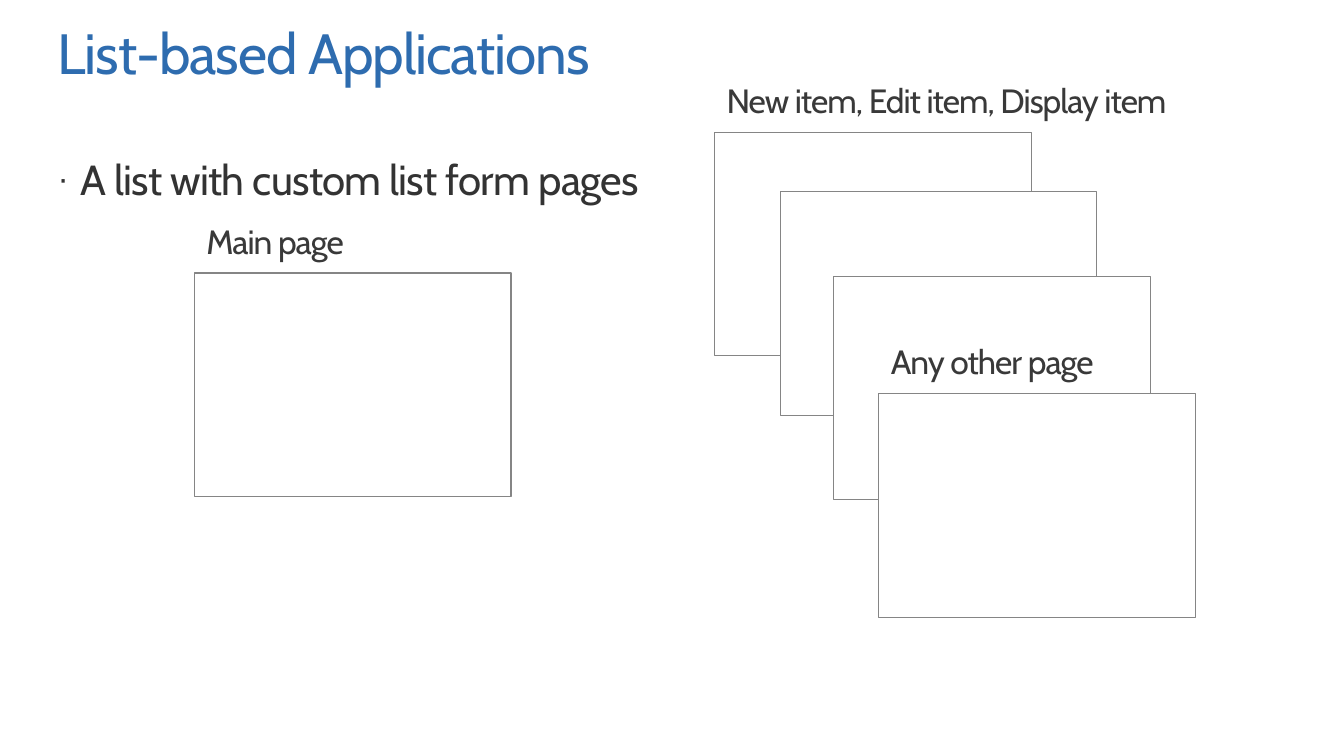
from pptx import Presentation
from pptx.dml.color import RGBColor
from pptx.enum.shapes import MSO_SHAPE
from pptx.enum.text import MSO_ANCHOR, MSO_AUTO_SIZE, PP_ALIGN
from pptx.oxml.ns import qn
from pptx.util import Cm, Pt
from lxml import etree

TITLE = "List-based Applications"
POINT = "A list with custom list form pages"
# left, top, label, label width (cm), from back to front
PAGES = [
    (4.9, 6.88, "Main page", 4.62),
    (18.01, 3.33, "New item, Edit item, Display item", 14.45),
    (19.66, 4.83, None, 0),
    (21.01, 6.96, None, 0),
    (22.15, 9.91, "Any other page", 7.01),
]
PAGE_W, PAGE_H = 7.98, 5.64
LABEL_IN, LABEL_UP, LABEL_H = 0.3, 1.31, 1.02

FONT = "Cabin"
BLUE = RGBColor(0x2E, 0x6C, 0xAF)
DARK = RGBColor(0x33, 0x33, 0x33)
GRAY = RGBColor(0x39, 0x39, 0x39)
EDGE = RGBColor(0x85, 0x85, 0x85)
WHITE = RGBColor(0xFF, 0xFF, 0xFF)
RECT = MSO_SHAPE.RECTANGLE
TOP = MSO_ANCHOR.TOP
LEFT = PP_ALIGN.LEFT
FIXED, GROW = MSO_AUTO_SIZE.NONE, MSO_AUTO_SIZE.SHAPE_TO_FIT_TEXT


def place(shape, *box):
    shape.left, shape.top, shape.width, shape.height = map(Cm, box)


def write(shape, text, size, color, track, line=1.0, bullet=None, fit=FIXED):
    """Fill a shape with one line; track is letter spacing in points."""
    frame = shape.text_frame
    frame.margin_left = frame.margin_right = 0
    frame.margin_top = frame.margin_bottom = 0
    frame.word_wrap = True
    frame.auto_size = fit
    frame.vertical_anchor = TOP
    para = frame.paragraphs[0]
    para.alignment = LEFT
    para.line_spacing = line
    para.space_before = Pt(0)
    if bullet:
        props = para._p.get_or_add_pPr()
        props.set("marL", str(Cm(0.58)))
        props.set("indent", str(-Cm(0.58)))
        etree.SubElement(props, qn("a:buSzPct")).set("val", "80000")
        etree.SubElement(props, qn("a:buChar")).set("char", bullet)
    run = para.add_run()
    run.text = text
    run.font.name = FONT
    run.font.size = Pt(size)
    run.font.color.rgb = color
    run._r.get_or_add_rPr().set("spc", str(round(track * 100)))


def add_page(shapes, left, top, label, width):
    page = shapes.add_shape(RECT, Cm(left), Cm(top), Cm(PAGE_W), Cm(PAGE_H))
    page.shadow.inherit = False
    page.fill.solid()
    page.fill.fore_color.rgb = WHITE
    page.line.color.rgb = EDGE
    page.line.width = Pt(0.75)
    if label:
        box = shapes.add_textbox(Cm(left + LABEL_IN), Cm(top - LABEL_UP),
                                 Cm(width), Cm(LABEL_H))
        write(box, label, 24, GRAY, -0.7, fit=GROW)


def main():
    deck = Presentation()
    deck.slide_width, deck.slide_height = Cm(33.87), Cm(19.05)
    slide = deck.slides.add_slide(deck.slide_layouts[1])
    title, body = slide.placeholders
    place(title, 1.45, 0.64, 30.99, 2.08)
    write(title, TITLE, 40.5, BLUE, -0.8, line=0.9)
    place(body, 1.45, 4.01, 30.99, 5.66)
    write(body, POINT, 30, DARK, -0.5, line=0.9, bullet="·")
    for page in PAGES:
        add_page(slide.shapes, *page)
    deck.save("out.pptx")


if __name__ == "__main__":
    main()
